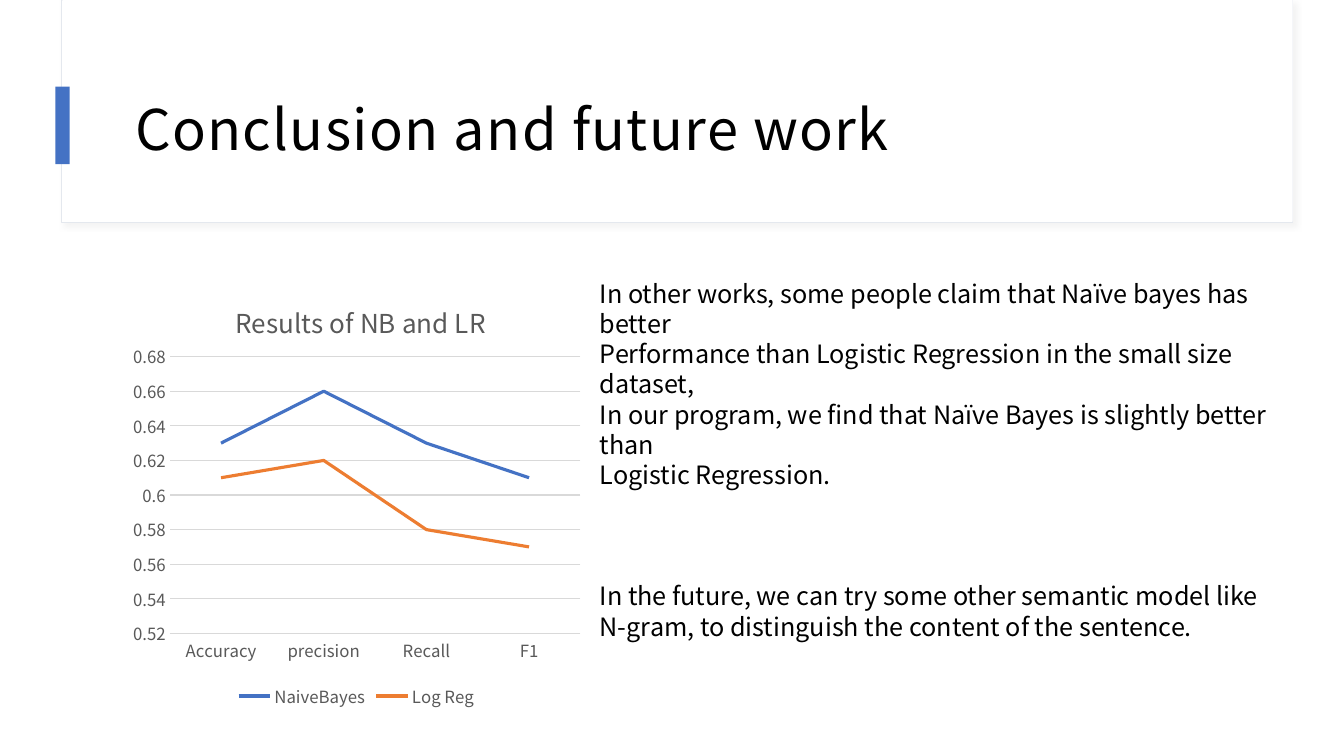
from lxml import etree
from pptx import Presentation
from pptx import util as u
from pptx.chart import data as cd
from pptx.dml import color as col
from pptx.enum import chart as ch, shapes, text
from pptx.oxml import ns, parse_xml


def rgb(code):
    return col.RGBColor.from_string(code)


class Deck:
    face = "Noto Sans CJK SC"
    ink, gray, rule = "000000", "595959", "D9D9D9"
    blue, orange, white = "4472C4", "ED7D31", "FFFFFF"

    def __init__(self):
        self.prs = Presentation()
        self.prs.slide_width = u.Inches(13.33)
        self.prs.slide_height = u.Inches(7.5)
        self.slide = self.prs.slides.add_slide(self.prs.slide_layouts[6])

    def style(self, font, size, ink):
        font.name, font.size = self.face, u.Pt(size)
        font.color.rgb = rgb(ink)

    def box(self, at, fill, line=None):
        shape = self.slide.shapes.add_shape(
            shapes.MSO_SHAPE.RECTANGLE, *map(u.Inches, at))
        shape.shadow.inherit = False
        shape.fill.solid()
        shape.fill.fore_color.rgb = rgb(fill)
        if line:
            shape.line.color.rgb = rgb(line)
            shape.line.width = u.Pt(0.75)
        else:
            shape.line.fill.background()
        return shape

    def shade(self, shape):
        effects = shape._element.spPr.find(ns.qn("a:effectLst"))
        effects.append(parse_xml(
            f'<a:outerShdw {ns.nsdecls("a")} blurRad="{u.Pt(4)}" '
            f'dist="{u.Pt(3)}" dir="2700000" algn="tl" rotWithShape="0">'
            f'<a:srgbClr val="{self.rule}"><a:alpha val="30000"/></a:srgbClr>'
            '</a:outerShdw>'))

    def words(self, at, lines, size):
        frame = self.slide.shapes.add_textbox(*map(u.Inches, at)).text_frame
        frame.word_wrap = True
        frame.text = "\n".join(lines)
        for para in frame.paragraphs:
            for run in para.runs:
                self.style(run.font, size, self.ink)
        return frame

    def place(self, holder, **spots):
        """Fix the layout of a chart part by fractions of the chart."""
        layout = holder.find(ns.qn("c:layout"))
        if layout is None:
            layout = etree.Element(ns.qn("c:layout"))
            holder.insert(1 if holder.tag == ns.qn("c:title") else 0, layout)
        manual = etree.SubElement(layout, ns.qn("c:manualLayout"))
        if "w" in spots:
            spots = {"layoutTarget": "inner", **spots}
        spots = {**{k: v for k, v in spots.items() if k == "layoutTarget"},
                 "xMode": "edge", "yMode": "edge", **spots}
        for key, val in spots.items():
            etree.SubElement(manual, ns.qn(f"c:{key}"), val=str(val))

    def chart(self, at, title, cats, rows):
        data = cd.CategoryChartData()
        data.categories = cats
        for name, vals, _ in rows:
            data.add_series(name, vals)
        chart = self.slide.shapes.add_chart(
            ch.XL_CHART_TYPE.LINE, *map(u.Inches, at), data).chart
        self.style(chart.font, 12, self.gray)

        # Title and legend
        chart.has_title = True
        chart.chart_title.text_frame.text = title
        head = chart.chart_title.text_frame.paragraphs[0].runs[0].font
        self.style(head, 18.6, self.gray)
        head.bold = False
        chart.chart_title.include_in_layout = False
        self.place(chart.chart_title._element, x=0.23, y=0.05)
        chart.has_legend = True
        chart.legend.position = ch.XL_LEGEND_POSITION.BOTTOM
        chart.legend.include_in_layout = False
        self.style(chart.legend.font, 12, self.gray)

        # Axes
        for axis in (chart.category_axis, chart.value_axis):
            axis.major_tick_mark = axis.minor_tick_mark = ch.XL_TICK_MARK.NONE
            self.style(axis.tick_labels.font, 12, self.gray)
        scale = chart.value_axis
        scale.minimum_scale, scale.maximum_scale = 0.52, 0.68
        scale.major_unit = 0.02
        scale.format.line.fill.background()
        for line in (chart.category_axis.format.line,
                     scale.major_gridlines.format.line):
            line.color.rgb = rgb(self.rule)
            line.width = u.Pt(0.75)

        # Lines
        plot = chart.plots[0]
        plot.vary_by_categories = False
        for series, (_, _, ink) in zip(plot.series, rows):
            series.smooth = False
            series.marker.style = ch.XL_MARKER_STYLE.NONE
            series.format.line.color.rgb = rgb(ink)
            series.format.line.width = u.Pt(2.25)
        self.place(chart._chartSpace.chart.plotArea,
                   x=0.1, y=0.19, w=0.88, h=0.63)


def main():
    deck = Deck()

    # Header panel and accent bar
    panel = deck.box((0.61, 0, 12.21, 2.21), deck.white, "E4E8EE")
    deck.shade(panel)
    deck.box((0.62, 0, 12.2, 2.2), deck.white)
    deck.box((0.55, 0.86, 0.14, 0.77), deck.blue)

    # Title
    frame = deck.words((1.22, 0.6, 11.12, 1.29),
                       ["Conclusion and future work"], 40)
    frame.vertical_anchor = text.MSO_ANCHOR.MIDDLE
    frame.margin_left = frame.margin_right = frame.margin_top = u.Inches(0.12)
    frame.margin_bottom = u.Inches(0.1)
    head = frame.paragraphs[0]
    head.line_spacing = 1.05
    head.runs[0].font._element.set("spc", "100")

    # Results chart
    deck.chart((1.22, 2.71, 4.63, 4.36), "Results of NB and LR",
               ["Accuracy", "precision", "Recall", "F1"],
               [("NaiveBayes", (0.63, 0.66, 0.63, 0.61), deck.blue),
                ("Log Reg", (0.61, 0.62, 0.58, 0.57), deck.orange)])

    # Findings and outlook
    notes = deck.words((5.85, 2.71, 7.02, 2.83), [
        "In other works, some people claim that Naïve bayes has better",
        "Performance than Logistic Regression in the small size dataset,",
        "In our program, we find that Naïve Bayes is slightly better than",
        "Logistic Regression.",
        "In the future, we can try some other semantic model like",
        "N-gram, to distinguish the content of the sentence."], 18)
    notes.paragraphs[4].space_before = u.Pt(65)

    deck.prs.save("out.pptx")


if __name__ == "__main__":
    main()
